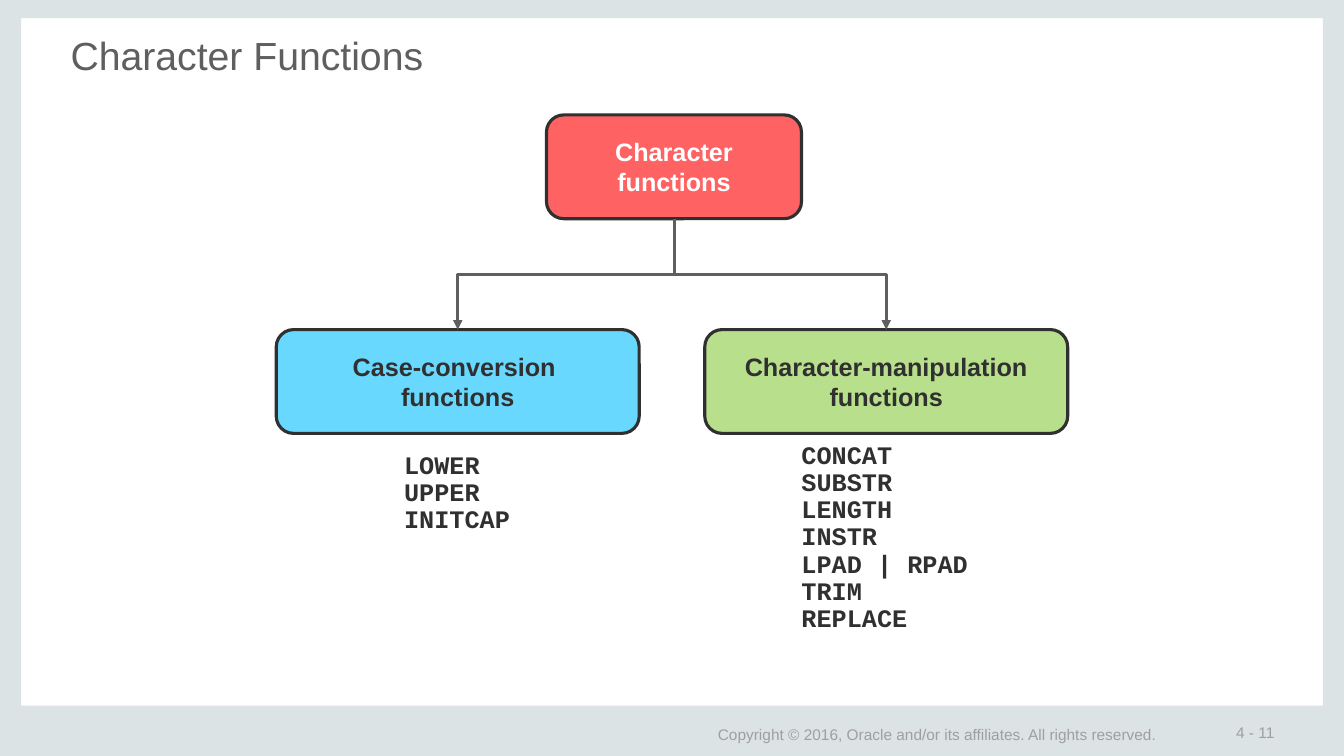
from lxml.etree import SubElement
from pptx import Presentation
from pptx.dml.color import RGBColor
from pptx.enum.shapes import MSO_CONNECTOR as Connector, MSO_SHAPE as Shape
from pptx.enum.text import MSO_ANCHOR as Anchor, PP_ALIGN as Align
from pptx.oxml.ns import qn
from pptx.util import Inches, Pt

FRAME = RGBColor(0xDC, 0xE3, 0xE4)
FOOTER = RGBColor(0x9F, 0x9F, 0x9F)
GRAY = RGBColor(0x5F, 0x5F, 0x5F)
DARK = RGBColor(0x30, 0x30, 0x30)
WHITE = RGBColor(0xFF, 0xFF, 0xFF)
RED = RGBColor(0xFF, 0x62, 0x62)
BLUE = RGBColor(0x69, 0xD8, 0xFF)
GREEN = RGBColor(0xB8, 0xE0, 0x8C)

prs = Presentation()
prs.slide_width, prs.slide_height = Inches(13.33), Inches(7.5)
slide = prs.slides.add_slide(prs.slide_layouts[6])
shapes = slide.shapes


def write(holder, lines, size, color, font="Arial", bold=False, align=Align.LEFT,
          anchor=Anchor.TOP, wrap=False, insets=(0.1, 0.05), spacing=None):
    """Fill a shape with one paragraph per line; insets are (sides, top and bottom)."""
    frame = holder.text_frame
    frame.word_wrap = wrap
    frame.vertical_anchor = anchor
    frame.margin_left = frame.margin_right = Inches(insets[0])
    frame.margin_top = frame.margin_bottom = Inches(insets[1])
    for i, line in enumerate(lines):
        paragraph = frame.add_paragraph() if i else frame.paragraphs[0]
        paragraph.alignment = align
        paragraph.line_spacing = spacing
        run = paragraph.add_run()
        run.text = line
        run.font.name, run.font.size, run.font.bold = font, Pt(size), bold
        run.font.color.rgb = color


def add_filled(preset, box, fill):
    filled = shapes.add_shape(preset, *map(Inches, box))
    filled.shadow.inherit = False
    filled.fill.solid()
    filled.fill.fore_color.rgb = fill
    filled.line.fill.background()
    return filled


# Slide frame, footer and title
for edge in [(13.12, 0, 0.21, 7.5), (0, 0, 0.21, 7.5), (0, 7, 13.33, 0.5), (0, 0, 13.33, 0.18)]:
    add_filled(Shape.RECTANGLE, edge, FRAME)

for left, width, height, text in [
    (12.13, 1.18, 0.2, "4 - 11"),
    (6.99, 5.34, 0.22, "Copyright © 2016, Oracle and/or its affiliates. All rights reserved."),
]:
    footer = shapes.add_textbox(Inches(left), Inches(7.17), Inches(width), Inches(height))
    write(footer, [text], 11, FOOTER, anchor=Anchor.MIDDLE, insets=(0.13, 0.07))

title = shapes.add_textbox(Inches(0.68), Inches(0.29), Inches(11.97), Inches(0.96))
write(title, ["Character Functions"], 28, GRAY, wrap=True, insets=(0.02, 0.02))

# Function lists
for box, wrap, functions in [
    ((3.91, 4.44, 1.26, 0.92), False, ["LOWER", "UPPER", "INITCAP"]),
    ((7.85, 4.34, 1.88, 2.02), True,
     ["CONCAT", "SUBSTR", "LENGTH", "INSTR", "LPAD | RPAD", "TRIM", "REPLACE"]),
]:
    function_list = shapes.add_textbox(*map(Inches, box))
    write(function_list, functions, 18, DARK, font="Courier New", bold=True,
          wrap=wrap, spacing=0.9)

# Tree boxes
BOX_HEIGHT, ROOT_TOP, BRANCH_TOP = 1.03, 1.14, 3.27
for left, top, width, fill, color, lines in [
    (5.42, ROOT_TOP, 2.53, RED, WHITE, ["Character", "functions"]),
    (2.74, BRANCH_TOP, 3.6, BLUE, DARK, ["Case-conversion ", "functions"]),
    (6.99, BRANCH_TOP, 3.6, GREEN, DARK, ["Character-manipulation", "functions"]),
]:
    node = add_filled(Shape.ROUNDED_RECTANGLE, (left, top, width, BOX_HEIGHT), fill)
    node.line.color.rgb = DARK
    node.line.width = Pt(2.25)
    write(node, lines, 18, color, bold=True, align=Align.CENTER, anchor=Anchor.MIDDLE)

# Elbow arrows: a turned elbow leaves the root downwards
ROOT_X, ROOT_BOTTOM = 6.69, ROOT_TOP + BOX_HEIGHT
drop = BRANCH_TOP - ROOT_BOTTOM
middle_y = ROOT_BOTTOM + drop / 2
for branch_x, side, turn in [(4.54, 1, 90), (8.79, -1, 270)]:
    middle_x = (ROOT_X + branch_x) / 2
    half_width, half_height = side * drop / 2, abs(branch_x - ROOT_X) / 2
    arrow = shapes.add_connector(
        Connector.ELBOW,
        Inches(middle_x - half_width), Inches(middle_y - half_height),
        Inches(middle_x + half_width), Inches(middle_y + half_height))
    arrow.line.color.rgb = GRAY
    arrow.line.width = Pt(2.25)
    properties = arrow._element.spPr
    properties.find(qn("a:xfrm")).set("rot", str(turn * 60000))
    SubElement(properties.find(qn("a:ln")), qn("a:tailEnd"), type="triangle")
    SubElement(properties, qn("a:effectLst"))

prs.save("out.pptx")
